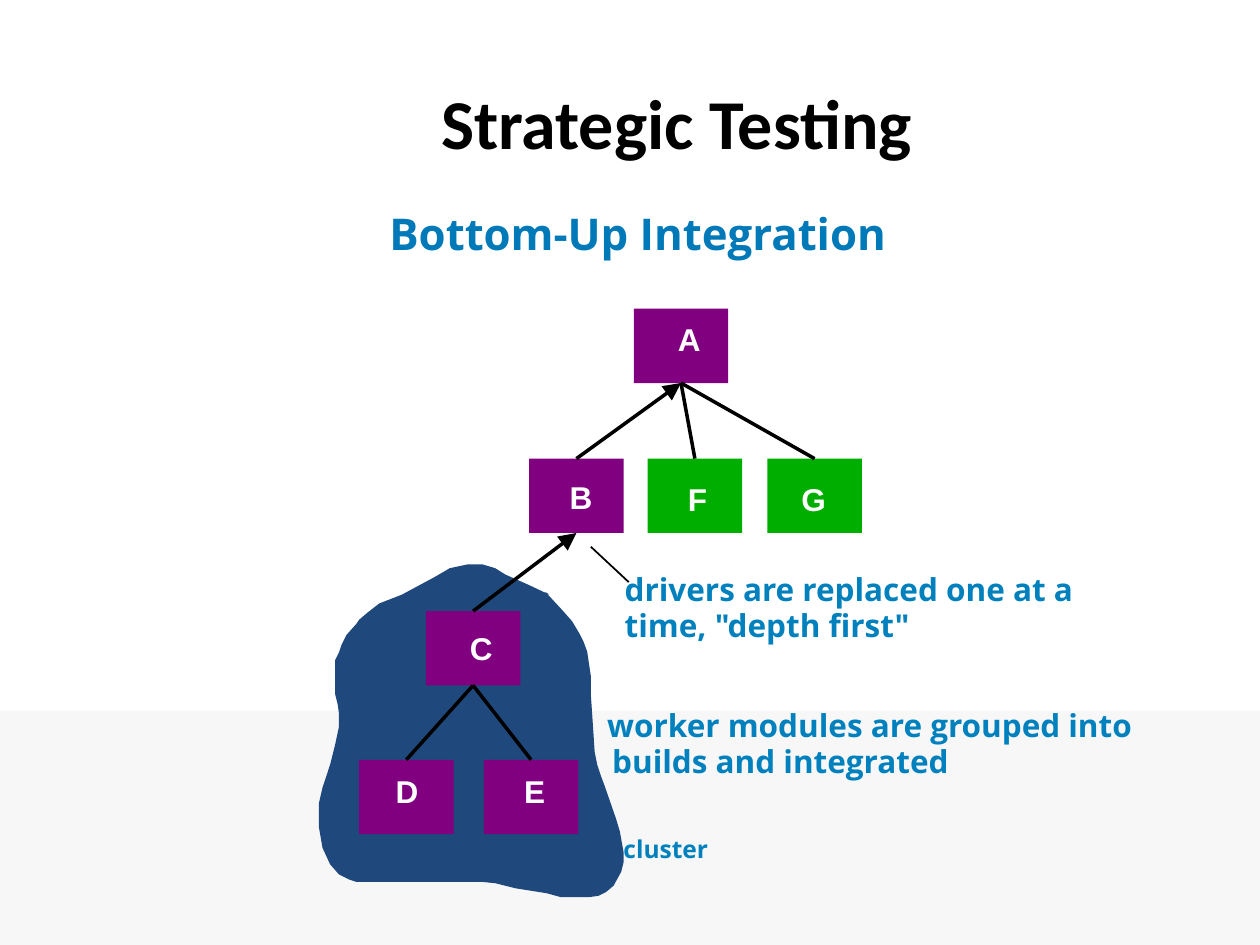
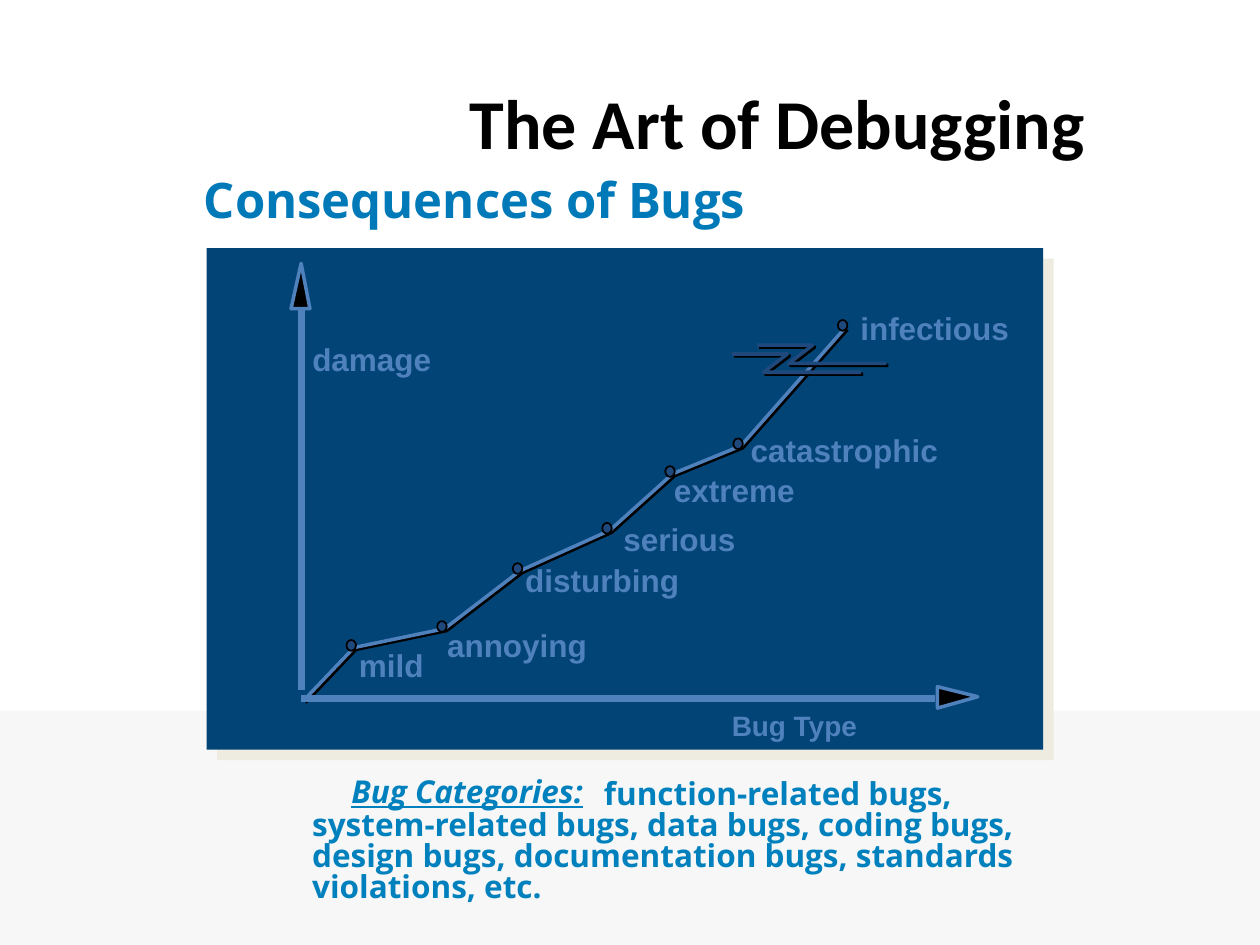
from dataclasses import dataclass
from typing import NamedTuple

from lxml.etree import SubElement
from pptx import Presentation
from pptx.dml.color import RGBColor
from pptx.enum.shapes import MSO_CONNECTOR, MSO_SHAPE
from pptx.enum.text import MSO_ANCHOR, PP_ALIGN
from pptx.oxml.ns import qn
from pptx.util import Emu, Inches, Pt

SLIDE_WIDTH, SLIDE_HEIGHT = Inches(10), Inches(7.5)
COLUMNS, ROWS = 100, 75
BOTTOM, TOP = 2, 0
COLORS = {
    "black": "000000",
    "white": "FFFFFF",
    "band": "F7F7F7",
    "heading": "0079B8",
    "body": "0081BD",
    "cluster": "1F497D",
    "integrated": "800080",
    "pending": "00AE00",
    "panel": "024476",
    "panel shadow": "EEECE1",
    "graph": "4F81BD",
}


class Point(NamedTuple):
    column: float
    row: float


class Box(NamedTuple):
    left: float
    top: float
    width: float
    height: float


@dataclass(frozen=True)
class Module:
    letter: str
    place: Point
    inset: Point
    color: str = "integrated"


@dataclass(frozen=True)
class Severity:
    name: str
    bend: Point
    label: Point
    width: float


MODULES = [
    Module("A", Point(50.3, 24.5), Point(3.5, 0.9)),
    Module("B", Point(42, 36.4), Point(3.2, 1.5)),
    Module("C", Point(33.8, 48.5), Point(3.5, 1.4)),
    Module("D", Point(28.5, 60.3), Point(2.9, 1)),
    Module("E", Point(38.4, 60.3), Point(3.2, 1)),
    Module("F", Point(51.4, 36.4), Point(3.2, 1.7), "pending"),
    Module("G", Point(60.9, 36.4), Point(2.7, 1.7), "pending"),
]
REPLACED_DRIVERS = ["BA", "CB"]
CALLS = ["CD", "CE", "AF", "AG"]

CLUSTER_OUTLINE = [
    (43.6, 47.2), (41.9, 46.4), (40.1, 45.6), (39.3, 45.1), (38.3, 44.8),
    (37.1, 44.8), (35.7, 45.1), (34.5, 45.8), (31.9, 47.2), (30.1, 47.9),
    (29.2, 48.6), (28.5, 49.2), (28.3, 49.5), (27.5, 50.4), (27.1, 51.2),
    (26.9, 51.8), (26.6, 52.4), (26.6, 55.1), (26.8, 55.9), (26.9, 56.6),
    (26.9, 57.7), (26.6, 59.1), (26.2, 60.7), (25.6, 62.5), (25.3, 63.8),
    (25.3, 65.6), (25.6, 67.3), (26.2, 68.6), (26.9, 69.4), (27.7, 69.8),
    (28.3, 70), (38.3, 70), (39.3, 70.1), (40.9, 70.5), (43.4, 70.9),
    (44.5, 71.2), (46.8, 71.2), (47.5, 71.1), (48.1, 70.8), (48.7, 70.3),
    (49.3, 69.2), (49.5, 68.4), (49.5, 67.7), (49.2, 66), (48.9, 65),
    (48, 62.4), (47.7, 61.6), (47.4, 60.7), (47.2, 59.7), (47.1, 58.2),
    (46.9, 55.2), (46.9, 53.7), (46.6, 51.7), (46.3, 50.9), (46, 50.3),
    (45.4, 49.3), (44.6, 48.4), (43.3, 47),
]

ORIGIN = Point(24.1, 55.6)
SEVERITIES = [
    Severity("mild", Point(28.1, 51.4), Point(27.5, 50.8), 8),
    Severity("annoying", Point(35.3, 49.9), Point(34.5, 49.2), 14),
    Severity("disturbing", Point(41.3, 45.3), Point(40.7, 44), 15),
    Severity("serious", Point(48.4, 42.1), Point(48.5, 40.8), 12),
    Severity("extreme", Point(53.4, 37.6), Point(52.5, 36.9), 12.5),
    Severity("catastrophic", Point(58.8, 35.4), Point(58.6, 33.7), 18),
    Severity("infectious", Point(67.1, 26), Point(67.3, 24), 15),
]
BREAK_STROKE = [(0, 0), (4.4, 0), (2.5, 1.45), (10.25, 1.45)]
BREAK_STARTS = [Point(60.1, 27.4), Point(58.1, 28.1)]


def across(columns: float) -> Emu:
    return Emu(round(SLIDE_WIDTH * columns / COLUMNS))


def down(rows: float) -> Emu:
    return Emu(round(SLIDE_HEIGHT * rows / ROWS))


def place(box: Box) -> tuple:
    return across(box.left), down(box.top), across(box.width), down(box.height)


def rgb(color: str) -> RGBColor:
    return RGBColor.from_string(COLORS[color])


def style_shape(shape, fill=None, line=None, width: float = 1) -> None:
    shape.shadow.inherit = False
    if fill:
        shape.fill.solid()
        shape.fill.fore_color.rgb = rgb(fill)
    else:
        shape.fill.background()
    if line:
        shape.line.color.rgb = rgb(line)
        shape.line.width = Pt(width)
    else:
        shape.line.fill.background()


def add_preset(slide, kind, box: Box, fill: str, line=None):
    shape = slide.shapes.add_shape(kind, *place(box))
    style_shape(shape, fill, line)
    return shape


def add_outline(slide, points, closed=False, **style) -> None:
    corners = [(across(column), down(row)) for column, row in points]
    builder = slide.shapes.build_freeform(*corners[0])
    builder.add_line_segments(corners[1:], close=closed)
    style_shape(builder.convert_to_shape(), **style)


def add_line(slide, start: Point, end: Point, color="black", width: float = 2):
    connector = slide.shapes.add_connector(
        MSO_CONNECTOR.STRAIGHT,
        across(start.column), down(start.row), across(end.column), down(end.row))
    connector.line.color.rgb = rgb(color)
    connector.line.width = Pt(width)
    SubElement(connector._element.spPr, qn("a:effectLst"))
    return connector


def join_shapes(slide, lower, lower_side, upper, upper_side, arrow=False) -> None:
    connector = add_line(slide, Point(0, 0), Point(1, 1))
    connector.begin_connect(lower, lower_side)
    connector.end_connect(upper, upper_side)
    if arrow:
        SubElement(connector.line._get_or_add_ln(), qn("a:tailEnd"),
                   type="triangle", w="lg", len="lg")


def write_text(frame, text: str, font="Open Sans", size=18, color="body",
               align=PP_ALIGN.LEFT, anchor=MSO_ANCHOR.TOP, spacing=None,
               indents=(), emphasis=False) -> None:
    frame.word_wrap = True
    frame.vertical_anchor = anchor
    for index, line in enumerate(text.split("\n")):
        paragraph = frame.add_paragraph() if index else frame.paragraphs[0]
        paragraph.alignment = align
        if spacing:
            paragraph.line_spacing = Pt(spacing)
        if index < len(indents):
            paragraph._p.get_or_add_pPr().set("indent", str(across(indents[index])))
        run = paragraph.add_run()
        run.text = line
        run.font.name = font
        run.font.size = Pt(size)
        run.font.bold = True
        run.font.color.rgb = rgb(color)
        if emphasis:
            run.font.italic = run.font.underline = True


def add_text(slide, box: Box, text: str, **style) -> None:
    write_text(slide.shapes.add_textbox(*place(box)).text_frame, text, **style)


def start_slide(presentation, title: str, title_box: Box):
    slide = presentation.slides.add_slide(presentation.slide_layouts[6])
    slide.background.fill.solid()
    slide.background.fill.fore_color.rgb = rgb("white")
    add_preset(slide, MSO_SHAPE.RECTANGLE, Box(0, 56.4, COLUMNS, 18.6), "band")
    add_text(slide, title_box, title, font="Calibri", size=40, color="black",
             align=PP_ALIGN.CENTER)
    return slide


def add_subtitle(slide, box: Box, text: str, size: int, align) -> None:
    add_text(slide, box, text, size=size, color="heading", align=align,
             anchor=MSO_ANCHOR.MIDDLE)


def add_module(slide, module: Module):
    shape = add_preset(slide, MSO_SHAPE.RECTANGLE,
                       Box(*module.place, 7.5, 5.9), module.color)
    frame = shape.text_frame
    frame.margin_left, frame.margin_top = across(module.inset.column), down(module.inset.row)
    frame.margin_right = frame.margin_bottom = 0
    write_text(frame, module.letter, font="Arial", color="white")
    return shape


def build_integration_slide(presentation) -> None:
    slide = start_slide(presentation, "Strategic Testing", Box(33.65, 5.8, 40.1, 7.7))
    add_subtitle(slide, Box(19.7, 15.7, 61.8, 5.5), "Bottom-Up Integration", 25,
                 PP_ALIGN.CENTER)
    add_outline(slide, CLUSTER_OUTLINE, closed=True, fill="cluster")
    boxes = {module.letter: add_module(slide, module) for module in MODULES}
    for lower, upper in REPLACED_DRIVERS:
        join_shapes(slide, boxes[lower], TOP, boxes[upper], BOTTOM, arrow=True)
    for caller, called in CALLS:
        join_shapes(slide, boxes[caller], BOTTOM, boxes[called], TOP)
    add_text(slide, Box(48.6, 44.9, 38.3, 6.9),
             'drivers are replaced one at a\ntime, "depth first"', spacing=20.5)
    add_text(slide, Box(47.2, 55.7, 44.5, 6.8),
             "worker modules are grouped into\nbuilds and integrated",
             spacing=20.5, indents=(0, 0.4))
    add_text(slide, Box(48.5, 65.7, 10, 3.3), "cluster", size=14)
    add_line(slide, Point(46.9, 43.4), Point(49.9, 46.2), width=1)


def add_raised_line(slide, points, color: str) -> None:
    shadow = [(column + 0.15, row + 0.15) for column, row in points]
    add_outline(slide, shadow, line="black", width=2)
    add_outline(slide, points, line=color, width=2)


def add_axis(slide, start: Point, end: Point, head) -> None:
    add_outline(slide, head, closed=True, fill="black", line="graph", width=2)
    add_line(slide, start, end, "graph", 4)


def add_graph_label(slide, box: Box, text: str, size=18) -> None:
    add_text(slide, box, text, font="Arial", size=size, color="graph")


def build_debugging_slide(presentation) -> None:
    slide = start_slide(presentation, "The Art of Debugging", Box(34.2, 5.8, 55, 7.7))
    add_subtitle(slide, Box(15.2, 12.7, 68.3, 6.2), "Consequences of Bugs", 28,
                 PP_ALIGN.LEFT)
    panel = add_preset(slide, MSO_SHAPE.RECTANGLE, Box(16.4, 19.7, 66.4, 39.8), "panel")
    effects = panel._element.spPr.find(qn("a:effectLst"))
    shadow = SubElement(effects, qn("a:outerShdw"), blurRad="0",
                        dist=str(Pt(8.5)), dir=str(45 * 60000), algn="ctr", rotWithShape="0")
    SubElement(shadow, qn("a:srgbClr"), val=COLORS["panel shadow"])

    add_raised_line(slide, [ORIGIN] + [severity.bend for severity in SEVERITIES], "graph")
    add_axis(slide, Point(23.9, 24.6), Point(23.9, 54.8),
             [(23.9, 20.9), (24.6, 24.5), (23.1, 24.5)])
    add_axis(slide, Point(23.9, 55.4), Point(74.2, 55.4),
             [(77.6, 55.3), (74.4, 56.2), (74.4, 54.5)])
    add_graph_label(slide, Box(23.8, 26.5, 12.5, 4), "damage")
    add_graph_label(slide, Box(57.1, 55.75, 13, 3.6), "Bug Type", size=16)
    for severity in SEVERITIES:
        add_graph_label(slide, Box(*severity.label, severity.width, 4), severity.name)
        add_preset(slide, MSO_SHAPE.OVAL,
                   Box(severity.bend.column - 0.6, severity.bend.row - 0.6, 0.75, 0.85),
                   "cluster", "black")
    for start in BREAK_STARTS:
        stroke = [(start.column + x, start.row + y) for x, y in BREAK_STROKE]
        add_raised_line(slide, stroke, "cluster")
    add_text(slide, Box(26.9, 60.8, 20.4, 4), "Bug Categories:", emphasis=True)
    add_text(slide, Box(46.95, 60.95, 31, 4), "function-related bugs,")
    add_text(slide, Box(23.8, 63.95, 58.4, 8.4),
             "system-related bugs, data bugs, coding bugs,\n"
             "design bugs, documentation bugs, standards\n"
             "violations, etc.",
             spacing=17.7)


def main() -> None:
    presentation = Presentation()
    presentation.slide_width, presentation.slide_height = SLIDE_WIDTH, SLIDE_HEIGHT
    build_integration_slide(presentation)
    build_debugging_slide(presentation)
    presentation.save("out.pptx")


if __name__ == "__main__":
    main()
